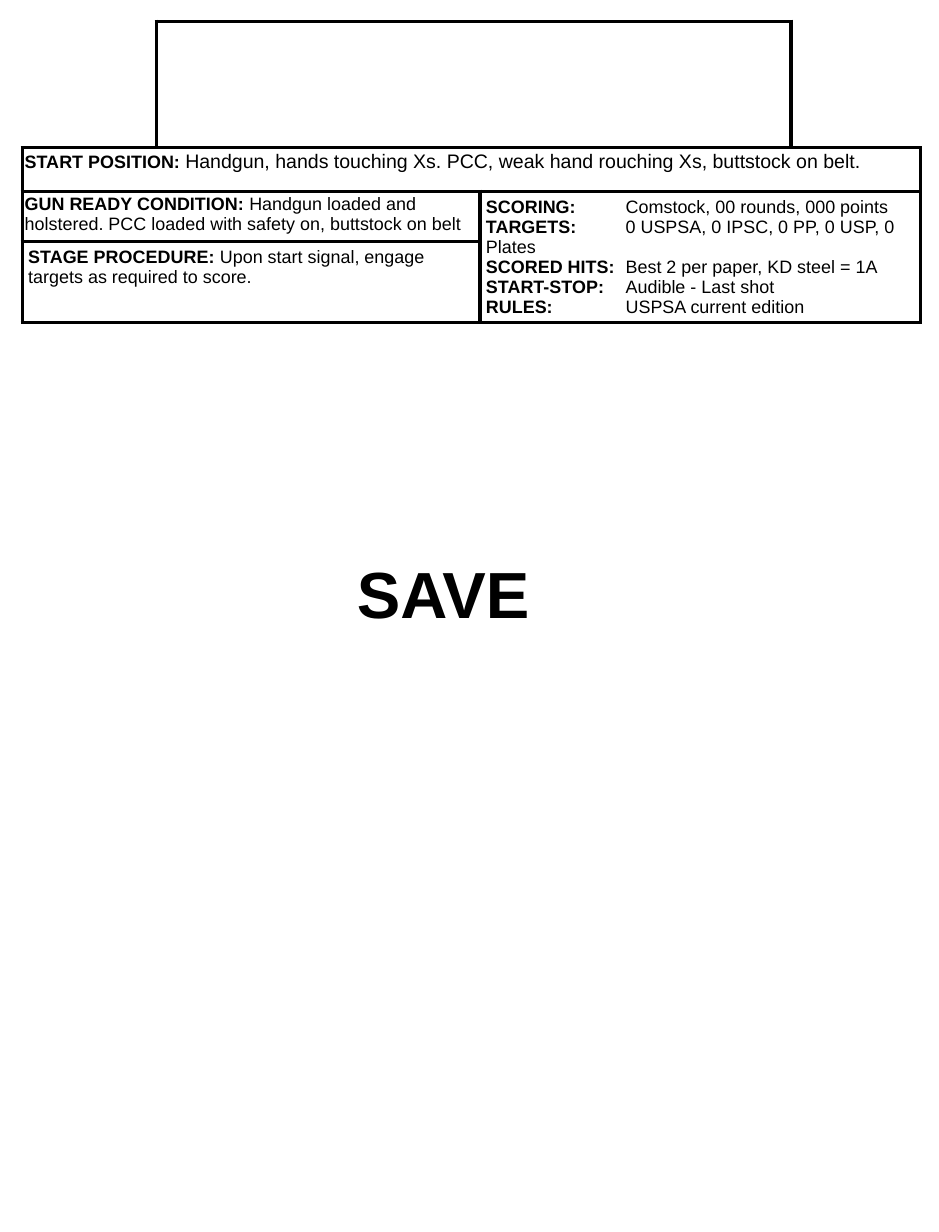
from lxml import etree
from pptx import Presentation
from pptx.dml.color import RGBColor
from pptx.enum.text import MSO_AUTO_SIZE, PP_ALIGN
from pptx.oxml.ns import qn
from pptx.util import Inches, Pt

CENTER, GROW = PP_ALIGN.CENTER, MSO_AUTO_SIZE.SHAPE_TO_FIT_TEXT
INK = {"line": "000000", "text": "000000", "fill": "FFFFFF"}
FONT, RULE, TAB = "Arial", 2.25, 1.19

COLS = [1.14, 2.76, 2.65, 1.1]
ROWS = [1.08, 0.37, 0.43, 0.69]
LEFT, TOP = 0.19, 0.18

# row, column, rows spanned, columns spanned, side inset, top inset,
# body size, line spacing, (label, body) lines
CELLS = [
    (0, 1, 1, 2, 0.05, 0.05, 11, 1, []),
    (1, 0, 1, 4, 0.02, 0.04, 12, 0.9, [
        ("START POSITION: ", "Handgun, hands touching Xs. PCC, weak hand "
         "rouching Xs, buttstock on belt.")]),
    (2, 0, 1, 2, 0.02, 0.03, 11, 1, [
        ("GUN READY CONDITION: ", "Handgun loaded and holstered. PCC loaded "
         "with safety on, buttstock on belt")]),
    (2, 2, 2, 2, 0.05, 0.05, 11, 1, [
        ("SCORING:", "\tComstock, 00 rounds, 000 points"),
        ("TARGETS:", "\t0 USPSA, 0 IPSC, 0 PP, 0 USP, 0 Plates"),
        ("SCORED HITS:", "\tBest 2 per paper, KD steel = 1A"),
        ("START-STOP:", "\tAudible - Last shot"),
        ("RULES:", "\tUSPSA current edition")]),
    (3, 0, 1, 2, 0.05, 0.05, 11, 1, [
        ("STAGE PROCEDURE: ", "Upon start signal, engage targets as required "
         "to score.")]),
]
# The corners beside the header box stay open on their outer sides
OPEN = {(0, 0): "LT", (0, 3): "RT"}


def write(para, text, size, bold):
    run = para.add_run()
    run.text = text
    look = {"name": FONT, "size": Pt(size), "bold": bold}
    for key, val in look.items():
        setattr(run.font, key, val)
    run.font.color.rgb = RGBColor.from_string(INK["text"])


def add_tab(para):
    tabs = etree.SubElement(para._p.get_or_add_pPr(), qn("a:tabLst"))
    etree.SubElement(tabs, qn("a:tab"), pos=str(Inches(TAB)), algn="l")


def frame(cell, gaps):
    """Draw the cell's borders, except on the sides in gaps, and fill it."""
    props = cell._tc.get_or_add_tcPr()
    for side in "LRTB":
        line = etree.SubElement(props, qn("a:ln" + side), w=str(Pt(RULE)))
        if side in gaps:
            etree.SubElement(line, qn("a:noFill"))
        else:
            fill = etree.SubElement(line, qn("a:solidFill"))
            etree.SubElement(fill, qn("a:srgbClr"), val=INK["line"])
    cell.fill.solid()
    cell.fill.fore_color.rgb = RGBColor.from_string(INK["fill"])


def add_grid(slide):
    grid = slide.shapes.add_table(
        len(ROWS), len(COLS), Inches(LEFT), Inches(TOP),
        Inches(sum(COLS)), Inches(sum(ROWS))).table
    grid.first_row = grid.horz_banding = False
    for col, wide in zip(grid.columns, COLS):
        col.width = Inches(wide)
    for row, high in zip(grid.rows, ROWS):
        row.height = Inches(high)
    for r in range(len(ROWS)):
        for c in range(len(COLS)):
            frame(grid.cell(r, c), OPEN.get((r, c), ""))
    for r, c, down, wide, side, top, size, space, lines in CELLS:
        cell = grid.cell(r, c)
        cell.merge(grid.cell(r + down - 1, c + wide - 1))
        cell.margin_left = cell.margin_right = Inches(side)
        cell.margin_top = cell.margin_bottom = Inches(top)
        for i, (label, body) in enumerate(lines):
            text = cell.text_frame
            para = text.add_paragraph() if i else text.paragraphs[0]
            para.line_spacing = space
            if "\t" in body:
                add_tab(para)
            write(para, label, 11, True)
            write(para, body, size, False)


def add_title(slide):
    box = slide.shapes.add_textbox(
        Inches(2.93), Inches(4.67), Inches(1.69), Inches(0.77))
    text = box.text_frame
    text.word_wrap, text.auto_size = False, GROW
    para = text.paragraphs[0]
    para.alignment = CENTER
    write(para, "SAVE", 40, True)


def main():
    deck = Presentation()
    deck.slide_width, deck.slide_height = Inches(8), Inches(10.5)
    slide = deck.slides.add_slide(deck.slide_layouts[6])
    add_grid(slide)
    add_title(slide)
    deck.save("out.pptx")


if __name__ == "__main__":
    main()
